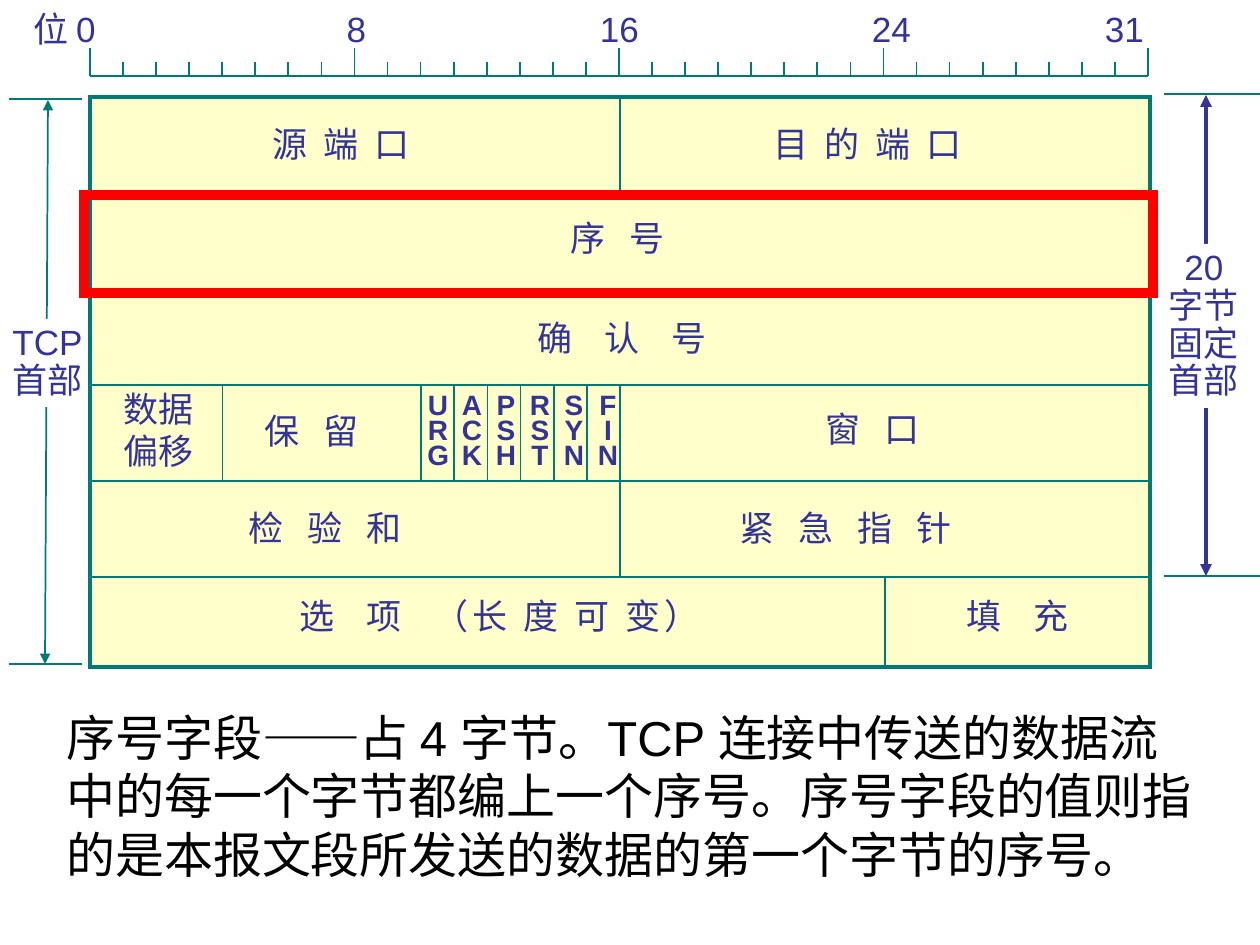
import lxml.etree
import pptx
import pptx.dml.color
import pptx.enum.shapes
import pptx.enum.text
import pptx.oxml
import pptx.oxml.ns
import pptx.util

SCALE = 914400 / 126
FONT = "Arial"
INK = {"teal": "007A77", "navy": "333399", "cream": "FFFFCC",
       "white": "FFFFFF", "black": "000000", "red": "FF0000"}
ALIGN = pptx.enum.text.PP_ALIGN
FIELDS = [
    (170, 19, 200, [("源 端 口", 2)]),
    (671, 19, 271, [("目 的 端 口", 2)]),
    (468, 113, 190, [("序 号", 3)]),
    (435, 213, 253, [("确 认 号", 4)]),
    (162, 306, 147, [("保 留", 3)]),
    (723, 304, 147, [("窗 口", 3)]),
    (146, 403, 236, [("检 验 和", 3)]),
    (637, 403, 323, [("紧 急 指 针", 3)]),
    (197, 491, 500, [("选 项 ", 4), ("（长 度 可 变）", 2)]),
    (864, 491, 173, [("填 充", 4)]),
]
SPLITS = {0: [16], 3: [4, *range(10, 17)], 4: [16], 5: [24]}
FLAGS = ["URG", "ACK", "PSH", "RST", "SYN", "FIN"]


def px(num):
    return pptx.util.Emu(round(num * SCALE))


def hue(name):
    return pptx.dml.color.RGBColor.from_string(INK[name])


def add_sub(node, tag, **attrs):
    return lxml.etree.SubElement(node, pptx.oxml.ns.qn(tag), **attrs)


def add_line(slide, x1, y1, x2, y2, color="teal", width=1, heads=False):
    line = slide.shapes.add_connector(
        pptx.enum.shapes.MSO_CONNECTOR.STRAIGHT, px(x1), px(y1), px(x2), px(y2))
    line.line.color.rgb = hue(color)
    line.line.width = pptx.util.Pt(width)
    if heads:
        for tag in ("a:headEnd", "a:tailEnd"):
            add_sub(line.line._ln, tag, type="triangle")
    add_sub(line._element.spPr, "a:effectLst")
    return line


def add_rect(slide, box, color, width, fill=None):
    rect = slide.shapes.add_shape(
        pptx.enum.shapes.MSO_SHAPE.RECTANGLE, *map(px, box))
    rect.shadow.inherit = False
    if fill:
        rect.fill.solid()
        rect.fill.fore_color.rgb = hue(fill)
    else:
        rect.fill.background()
    rect.line.color.rgb = hue(color)
    rect.line.width = pptx.util.Pt(width)
    add_sub(rect.line._ln, "a:miter", lim="800000")
    return rect


def add_text(slide, box, paras, size=20, color="navy", bold=False, align=ALIGN.LEFT,
             space=None, wrap=True, fill=None, tabs=()):
    """Place paragraphs, each a list of (text, gap) runs, where gap widens the spaces."""
    shape = slide.shapes.add_textbox(*map(px, box))
    if fill:
        shape.fill.solid()
        shape.fill.fore_color.rgb = hue(fill)
    frame = shape.text_frame
    frame.word_wrap = wrap
    for i, runs in enumerate(paras):
        para = frame.paragraphs[0] if i == 0 else frame.add_paragraph()
        if tabs:
            stops = add_sub(para._p.get_or_add_pPr(), "a:tabLst")
            for stop in tabs:
                add_sub(stops, "a:tab", pos=str(px(stop)), algn="ctr")
        para.alignment = align
        if space:
            para.line_spacing = space
        for text, gap in runs:
            run = para.add_run()
            run.text = text
            run.font.name = FONT
            run.font.size = pptx.util.Pt(size)
            run.font.bold = bold
            run.font.color.rgb = hue(color)
            if gap > 1:
                run._r.get_or_add_rPr().set("spc", str(230 * (gap - 1)))
    return shape


def plain(lines):
    return [[(line, 1)] for line in lines]


def draw_side(slide, x, y, w, h, lines, label, arrow, **style):
    for edge in (y, y + h):
        add_line(slide, x, edge, x + w, edge)
    start, end = arrow
    add_line(slide, x + start, y + 1, x + end, y + h, heads=True, **style)
    left, top, wide, high, align = label
    add_text(slide, (x + left, y + top, wide, high), plain(lines),
             align=align, space=0.9, wrap=False, fill="white")


def draw_ruler(slide, x, y, w, h):
    base = y + h
    add_line(slide, x, base, x + w, base)
    for i in range(33):
        tick = x + w * i / 32
        add_line(slide, tick, base - (28 if i % 8 == 0 else 14), tick, base)
    add_text(slide, (x - 69, y, w + 90, 54), plain(["位 0\t8\t16\t24\t31"]),
             tabs=(323, 586, 858, 1091))


def draw_grid(slide, x, y, w, h):
    frame = add_rect(slide, (x, y, w, h), "teal", 2, "cream")
    row, bit = 96, w / 32
    for i in range(1, 6):
        add_line(slide, x, y + row * i, x + w, y + row * i)
    for i, bits in SPLITS.items():
        for num in bits:
            at = x + num * bit
            line = add_line(slide, at, y + row * i, at, y + min(row * (i + 1), h))
            if i == 0:
                line.begin_connect(frame, 0)
    for left, top, wide, runs in FIELDS:
        add_text(slide, (x + left, y + top, wide, 54), [runs])
    add_text(slide, (x + 21, y + 284, 96, 96), plain(["数据", "偏移"]), wrap=False)
    for i, flag in enumerate(FLAGS):
        add_text(slide, (x + 325 + 34 * i, y + 292, 46, 88), plain(flag), size=16,
                 bold=True, align=ALIGN.CENTER, space=0.75, wrap=False)
    add_rect(slide, (x - 6, y + 98, w + 9, 98), "red", 6)


def draw_note(slide, *box):
    note = ("序号字段——占 4 字节。TCP 连接中传送的数据流中的每一个字节都编上一个序号。"
            "序号字段的值则指的是本报文段所发送的数据的第一个字节的序号。")
    add_text(slide, box, plain([note]), size=28, color="black")


def main():
    deck = pptx.Presentation()
    deck.slide_width, deck.slide_height = px(1260), px(945)
    slide = deck.slides.add_slide(deck.slide_layouts[6])
    draw_side(slide, 9, 99, 73, 565, ["TCP", "首部"],
              (-9, 220, 96, 88, ALIGN.LEFT), (39, 36))
    draw_side(slide, 1164, 94, 96, 482, ["20", "字节", "固定", "首部"],
              (-8, 150, 96, 164, ALIGN.CENTER), (42, 42), color="navy", width=2.25)
    draw_grid(slide, 90, 97, 1060, 570)
    draw_ruler(slide, 90, 1, 1058, 75)
    draw_note(slide, 54, 701, 1160, 189)
    deck.save("out.pptx")


if __name__ == "__main__":
    main()
